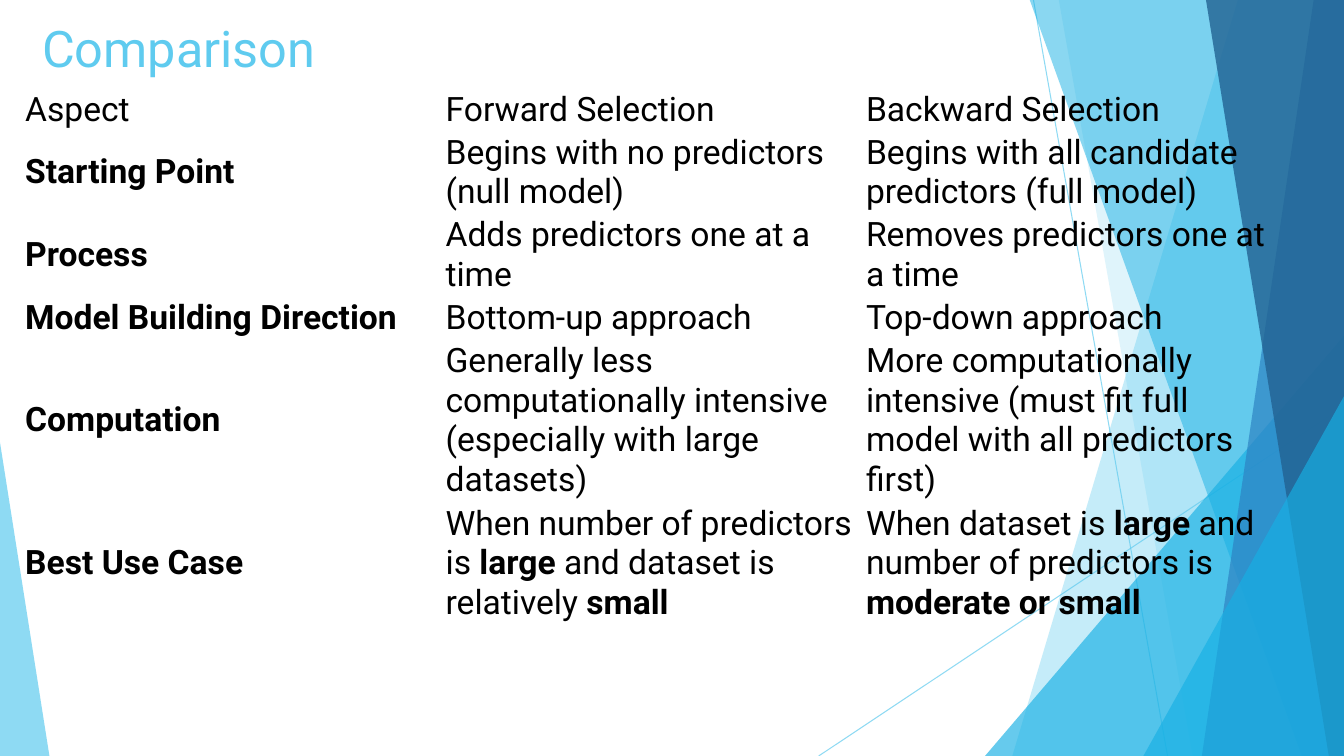
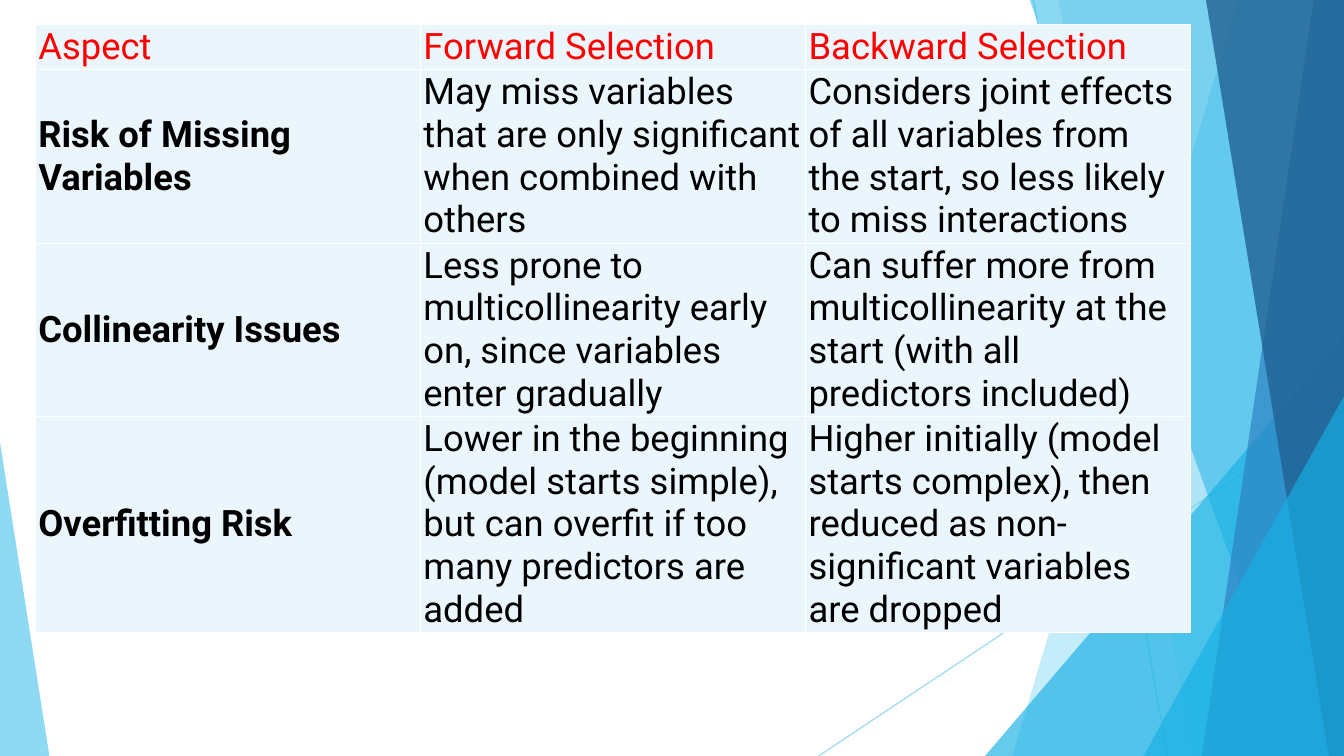
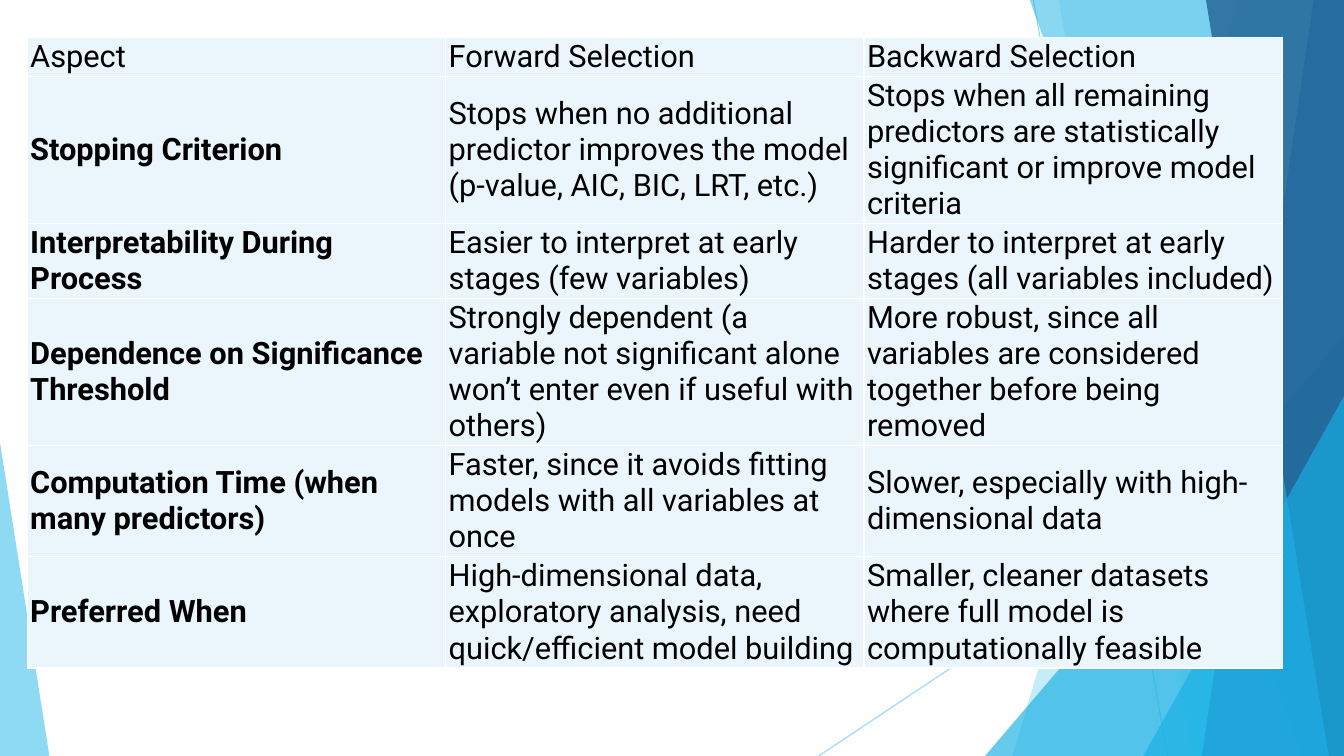
from lxml.etree import SubElement
from pptx import Presentation
from pptx.dml.color import RGBColor
from pptx.enum.shapes import MSO_CONNECTOR, MSO_SHAPE
from pptx.enum.text import MSO_ANCHOR
from pptx.oxml import parse_xml
from pptx.oxml.ns import nsdecls, qn
from pptx.util import Inches, Pt

WIDTH, HEIGHT = 13.33, 7.5
FONT = "Roboto"
COLORS = {
    "sky": "5FCBEF",
    "cyan": "17B0E4",
    "blue": "2E83C3",
    "navy": "226292",
    "pale": "EAF6FC",
    "white": "FFFFFF",
    "black": "000000",
    "red": "FF0000",
}
NO_STYLE_NO_GRID = "{2D5ABB26-0587-4C30-8999-92F81FD0307C}"
HEADINGS = ["Aspect", "Forward Selection", "Backward Selection"]

# Each row: number of text lines, then the three cells; ** marks bold words.
BASICS = [
    (2, "Starting Point", "Begins with no predictors (null model)",
     "Begins with all candidate predictors (full model)"),
    (2, "Process", "Adds predictors one at a time", "Removes predictors one at a time"),
    (1, "Model Building Direction", "Bottom-up approach", "Top-down approach"),
    (4, "Computation",
     "Generally less computationally intensive (especially with large datasets)",
     "More computationally intensive (must fit full model with all predictors first)"),
    (3, "Best Use Case",
     "When number of predictors is **large** and dataset is relatively **small**",
     "When dataset is **large** and number of predictors is **moderate or small**"),
]
RISKS = [
    (4, "Risk of Missing Variables",
     "May miss variables that are only significant when combined with others",
     "Considers joint effects of all variables from the start, "
     "so less likely to miss interactions"),
    (4, "Collinearity Issues",
     "Less prone to multicollinearity early on, since variables enter gradually",
     "Can suffer more from multicollinearity at the start (with all predictors included)"),
    (5, "Overfitting Risk",
     "Lower in the beginning (model starts simple), "
     "but can overfit if too many predictors are added",
     "Higher initially (model starts complex), "
     "then reduced as non-significant variables are dropped"),
]
PRACTICE = [
    (4, "Stopping Criterion",
     "Stops when no additional predictor improves the model (p-value, AIC, BIC, LRT, etc.)",
     "Stops when all remaining predictors are statistically significant "
     "or improve model criteria"),
    (2, "Interpretability During Process",
     "Easier to interpret at early stages (few variables)",
     "Harder to interpret at early stages (all variables included)"),
    (4, "Dependence on Significance Threshold",
     "Strongly dependent (a variable not significant alone "
     "won’t enter even if useful with others)",
     "More robust, since all variables are considered together before being removed"),
    (3, "Computation Time (when many predictors)",
     "Faster, since it avoids fitting models with all variables at once",
     "Slower, especially with high-dimensional data"),
    (3, "Preferred When",
     "High-dimensional data, exploratory analysis, need quick/efficient model building",
     "Smaller, cleaner datasets where full model is computationally feasible"),
]


def color(name):
    return RGBColor.from_string(COLORS[name])


def set_opacity(shape, percent):
    for element in shape._element.spPr.iter(qn("a:srgbClr")):
        SubElement(element, qn("a:alpha")).set("val", str(percent * 1000))


class Deck:
    """Holds the presentation, its style and the slide being built."""

    def __init__(self):
        self.presentation = Presentation()
        self.presentation.slide_width = Inches(WIDTH)
        self.presentation.slide_height = Inches(HEIGHT)
        self.slide = None

    def new_slide(self):
        self.slide = self.presentation.slides.add_slide(self.presentation.slide_layouts[6])
        self.backdrop()

    def backdrop(self):
        """Draw the translucent facets shared by all slides."""
        self.thin_line(10.25, 0, 11.58, HEIGHT)
        self.thin_line(WIDTH, 4.03, 8.12, HEIGHT)
        self.facet(12.28, 10.04, "sky", 36)
        self.facet(10.5, 11.83, "sky", 20)
        self.triangle(9.77, 3.33, 3.56, 1, "cyan", 66)
        self.facet(10.21, 12.91, "cyan", 50)
        self.facet(13.03, 11.92, "blue", 70)
        self.facet(11.96, 13.18, "navy", 80)
        self.triangle(11.34, 3.93, 1.99, 1, "cyan", 66)
        self.triangle(0, 4.39, 0.49, 0, "sky", 70)

    def thin_line(self, *ends):
        connector = self.slide.shapes.add_connector(
            MSO_CONNECTOR.STRAIGHT, *(Inches(value) for value in ends))
        connector.line.color.rgb = color("sky")
        connector.line.width = Pt(0.75)
        set_opacity(connector, 70)
        SubElement(connector._element.spPr, qn("a:effectLst"))

    def facet(self, top_x, bottom_x, fill, opacity):
        """Fill from a slanted left edge to the right edge of the slide."""
        top = Inches(-0.01)
        builder = self.slide.shapes.build_freeform(Inches(top_x), top)
        builder.add_line_segments([
            (Inches(WIDTH), top),
            (Inches(WIDTH), Inches(HEIGHT)),
            (Inches(bottom_x), Inches(HEIGHT)),
        ])
        self.paint(builder.convert_to_shape(), fill, opacity)

    def triangle(self, left, top, width, apex, fill, opacity):
        """Stand a triangle on the bottom edge; apex is 0 (left) to 1 (right)."""
        shape = self.slide.shapes.add_shape(
            MSO_SHAPE.ISOSCELES_TRIANGLE,
            Inches(left), Inches(top), Inches(width), Inches(HEIGHT - top))
        shape.adjustments[0] = apex
        self.paint(shape, fill, opacity)

    def paint(self, shape, fill, opacity):
        shape.shadow.inherit = False
        shape.fill.solid()
        shape.fill.fore_color.rgb = color(fill)
        shape.line.fill.background()
        set_opacity(shape, opacity)

    def title(self, text):
        box = self.slide.shapes.add_textbox(
            Inches(0.32), Inches(0.06), Inches(9.4), Inches(0.82))
        frame = box.text_frame
        frame.word_wrap = True
        frame.vertical_anchor = MSO_ANCHOR.MIDDLE
        frame.text = text
        self.format_run(frame.paragraphs[0].runs[0], 36, "sky")

    def format_run(self, run, size, font_color, bold=False):
        run.font.name = FONT
        run.font.size = Pt(size)
        run.font.bold = bold
        run.font.color.rgb = color(font_color)

    def table(self, left, top, column_width, size, rows, heading="black", fill=None):
        rows = [(1, *HEADINGS)] + rows
        heights = [Inches(lines * size * 1.17 / 72 + 0.03) for lines, *_ in rows]
        frame = self.slide.shapes.add_table(
            len(rows), len(HEADINGS), Inches(left), Inches(top),
            Inches(column_width * len(HEADINGS)), sum(heights))
        table = frame.table
        table.first_row = table.horz_banding = False
        table._tbl.tblPr.find(qn("a:tableStyleId")).text = NO_STYLE_NO_GRID
        for column in table.columns:
            column.width = Inches(column_width)
        for row_index, (_, *texts) in enumerate(rows):
            table.rows[row_index].height = heights[row_index]
            for column_index, text in enumerate(texts):
                cell = table.cell(row_index, column_index)
                self.cell_box(cell, fill)
                self.cell_text(cell, text, size, "black" if row_index else heading,
                               row_index > 0 and column_index == 0)

    def cell_box(self, cell, fill):
        cell.vertical_anchor = MSO_ANCHOR.MIDDLE
        cell.margin_left = cell.margin_right = Inches(0.03)
        cell.margin_top = cell.margin_bottom = Inches(0.01)
        if fill is None:
            cell.fill.background()
            return
        cell.fill.solid()
        cell.fill.fore_color.rgb = color(fill)
        for index, side in enumerate("LRTB"):
            cell._tc.get_or_add_tcPr().insert(index, parse_xml(
                f'<a:ln{side} {nsdecls("a")} w="{Pt(1)}"><a:solidFill>'
                f'<a:srgbClr val="{COLORS["white"]}"/></a:solidFill></a:ln{side}>'))

    def cell_text(self, cell, text, size, font_color, bold):
        paragraph = cell.text_frame.paragraphs[0]
        for index, part in enumerate(text.split("**")):
            if part:
                run = paragraph.add_run()
                run.text = part
                self.format_run(run, size, font_color, bold or index % 2 == 1)


def main():
    deck = Deck()
    deck.new_slide()
    deck.title("Comparison")
    deck.table(0.22, 0.88, 4.17, 24, BASICS)
    deck.new_slide()
    deck.table(0.35, 0.24, 3.82, 26, RISKS, heading="red", fill="pale")
    deck.new_slide()
    deck.table(0.27, 0.37, 4.15, 22, PRACTICE, fill="pale")
    deck.presentation.save("out.pptx")


if __name__ == "__main__":
    main()
